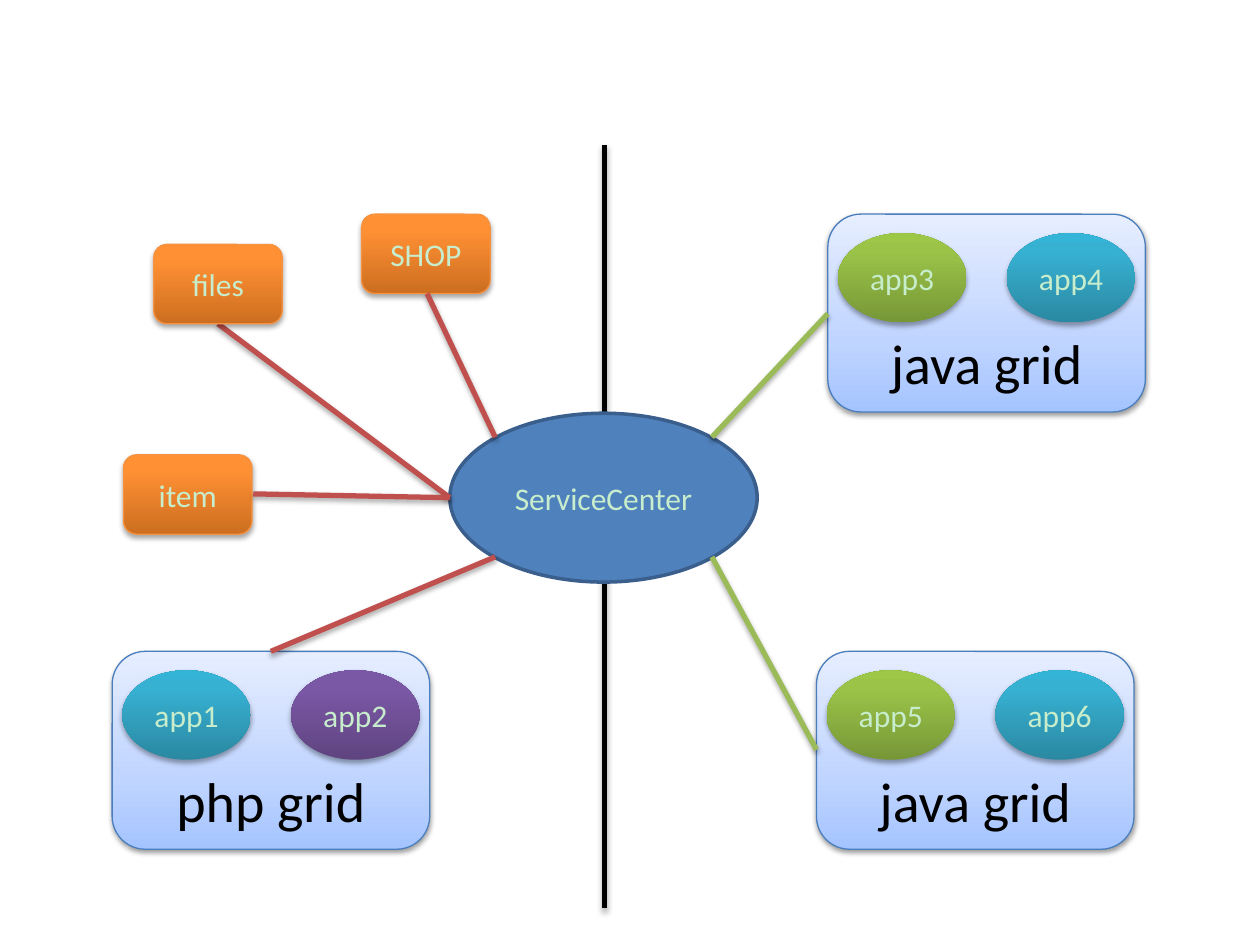
from lxml import etree
from pptx import Presentation
from pptx import util as u
from pptx.dml import color
from pptx.enum import shapes, text
from pptx.oxml import ns

KINDS = shapes.MSO_SHAPE
PALE = "C7EDCC"
GRID = [(0, "A4C4FF"), (35, "BFD4FF"), (100, "E6EEFF")]
TEAL = [(0, "2A88A2"), (80, "37B1D2"), (100, "34B4D6")]
PURPLE = [(0, "5F4480"), (80, "7B58A6"), (100, "7C57A8")]
GREEN = [(0, "779737"), (80, "9BC348"), (100, "9DC746")]
ORANGE = [(0, "CC6E20"), (80, "FF9034"), (100, "FF9136")]
RED_LINE, GREEN_LINE = "C0504D", "9BBB59"


def rgb(value):
    """Turn a hex string into a colour."""
    return color.RGBColor.from_string(value)


def add_hex(parent, value):
    """Append a colour element to an XML parent."""
    return etree.SubElement(parent, ns.qn("a:srgbClr"), val=value)


class Diagram:
    """Hold the style and the current page, and draw its elements."""

    font = "Calibri"

    def __init__(self, page):
        """Keep the page to draw on."""
        self.page = page

    def shade(self, properties, alpha=35, distance=1.8):
        """Give an element a soft shadow straight below it."""
        effects = properties.find(ns.qn("a:effectLst"))
        if effects is None:
            effects = etree.SubElement(properties, ns.qn("a:effectLst"))
        shadow = etree.SubElement(
            effects, ns.qn("a:outerShdw"), blurRad=str(u.Pt(3.1)),
            dist=str(u.Pt(distance)), dir="5400000", rotWithShape="0")
        black = add_hex(shadow, "000000")
        etree.SubElement(black, ns.qn("a:alpha"), val=str(alpha * 1000))

    def paint(self, box, fill):
        """Fill a box with one colour or with gradient stops from the bottom up."""
        if isinstance(fill, str):
            box.fill.solid()
            box.fill.fore_color.rgb = rgb(fill)
            return
        box.fill.gradient()
        box.fill.gradient_angle = 90
        stops = box._element.spPr.find(".//" + ns.qn("a:gsLst"))
        for stop in list(stops):
            stops.remove(stop)
        for position, value in fill:
            add_hex(etree.SubElement(stops, ns.qn("a:gs"), pos=str(position * 1000)), value)

    def box(self, kind, label, place, fill, outline=None, width=0.75, size=18,
            ink=PALE, anchor=text.MSO_ANCHOR.MIDDLE, shadow=(35, 1.8)):
        """Draw a labelled shape."""
        box = self.page.shapes.add_shape(kind, *map(u.Inches, place))
        box.shadow.inherit = False
        self.paint(box, fill)
        if outline:
            box.line.color.rgb, box.line.width = rgb(outline), u.Pt(width)
        else:
            box.line.fill.background()
        if shadow:
            self.shade(box._element.spPr, *shadow)
        box.text_frame.vertical_anchor = anchor
        box.text_frame.word_wrap = True
        para = box.text_frame.paragraphs[0]
        para.alignment = text.PP_ALIGN.CENTER
        span = para.add_run()
        span.text = label
        for name, value in {"name": self.font, "size": u.Pt(size)}.items():
            setattr(span.font, name, value)
        span.font.color.rgb = rgb(ink)

    def service(self, label, left, top):
        """Draw an orange service."""
        self.box(KINDS.ROUNDED_RECTANGLE, label, (left, top, 1.02, 0.63), ORANGE, "F69240")

    def grid(self, label, left, top, apps):
        """Draw a grid with its apps side by side."""
        self.box(KINDS.FLOWCHART_ALTERNATE_PROCESS, label, (left, top, 2.52, 1.57),
                 GRID, "4B7EBC", size=32, ink="000000",
                 anchor=text.MSO_ANCHOR.BOTTOM, shadow=(38, 1.6))
        for column, (app, fill) in enumerate(apps):
            place = (left + 0.08 + column * 1.34, top + 0.15, 1.02, 0.71)
            self.box(KINDS.OVAL, app, place, fill)

    def link(self, start, end, ink):
        """Draw a straight line between two points."""
        line = self.page.shapes.add_connector(
            shapes.MSO_CONNECTOR.STRAIGHT, *map(u.Inches, start + end))
        line.line.color.rgb, line.line.width = rgb(ink), u.Pt(3)
        self.shade(line._element.spPr)


def main():
    """Build the service diagram."""
    deck = Presentation()
    deck.slide_width, deck.slide_height = u.Inches(10), u.Inches(7.5)
    diagram = Diagram(deck.slides.add_slide(deck.slide_layouts[6]))

    diagram.link((4.8, 1.15), (4.8, 7.21), "000000")
    diagram.box(KINDS.OVAL, "ServiceCenter", (3.57, 3.28, 2.44, 1.34), "4F81BD",
                "3A5F8C", width=2, shadow=None)
    diagram.grid("php grid", 0.89, 5.17, [("app1", TEAL), ("app2", PURPLE)])
    diagram.grid("java grid", 6.48, 5.17, [("app5", GREEN), ("app6", TEAL)])
    diagram.grid("java grid", 6.57, 1.7, [("app3", GREEN), ("app4", TEAL)])
    diagram.service("SHOP", 2.87, 1.7)
    diagram.service("item", 0.98, 3.61)
    for start, end, ink in [
        ((3.39, 2.33), (3.93, 3.47), RED_LINE),
        ((1.73, 2.57), (3.57, 3.95), RED_LINE),
        ((2.15, 5.17), (3.93, 4.42), RED_LINE),
        ((2.01, 3.92), (3.57, 3.95), RED_LINE),
        ((6.57, 2.49), (5.65, 3.47), GREEN_LINE),
        ((5.65, 4.42), (6.48, 5.95), GREEN_LINE),
    ]:
        diagram.link(start, end, ink)
    diagram.service("files", 1.22, 1.94)
    deck.save("out.pptx")


if __name__ == "__main__":
    main()
